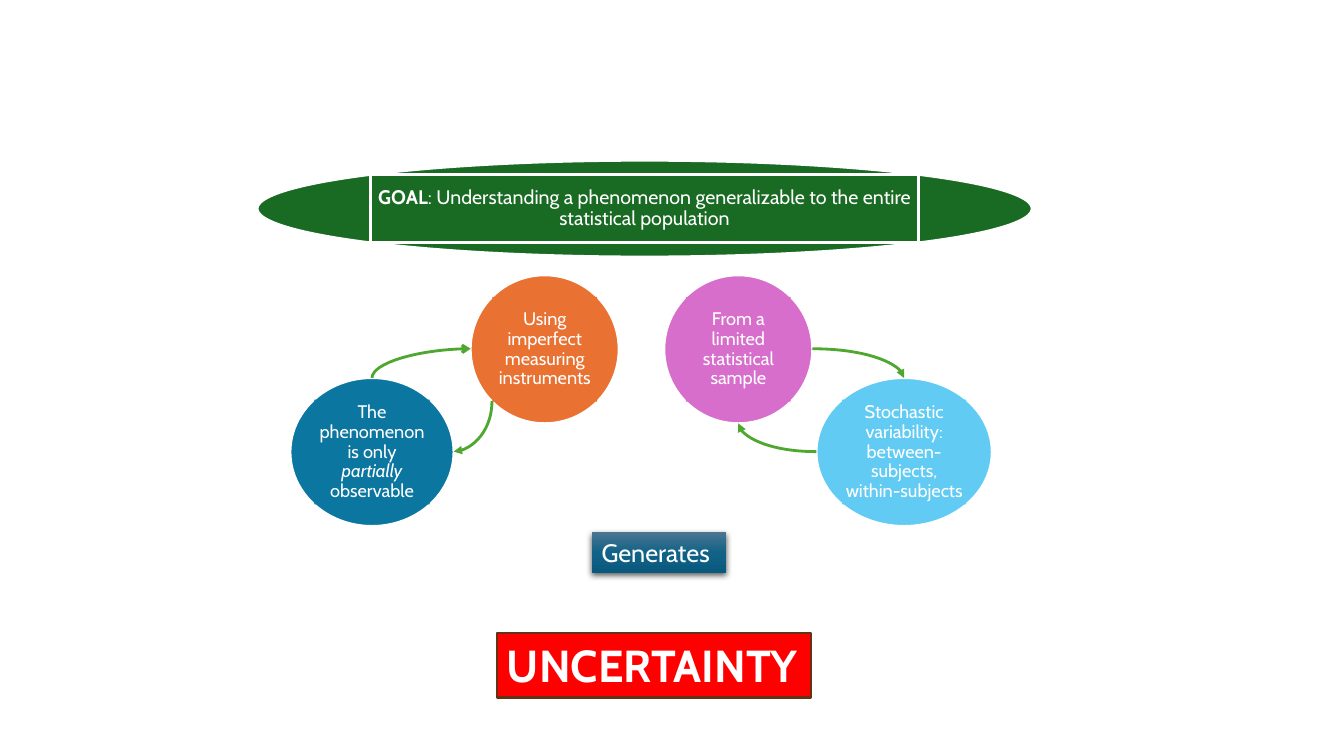
from dataclasses import dataclass
from math import sqrt

from lxml.etree import SubElement
from pptx import Presentation
from pptx.dml.color import RGBColor
from pptx.enum.shapes import MSO_CONNECTOR, MSO_SHAPE
from pptx.enum.text import MSO_ANCHOR, MSO_AUTO_SIZE, PP_ALIGN
from pptx.oxml.ns import qn
from pptx.shapes.autoshape import Shape
from pptx.shapes.connector import Connector
from pptx.slide import Slide
from pptx.util import Pt


@dataclass(frozen=True)
class Theme:
    font: str = "Cabin"
    white: str = "FFFFFF"
    goal: str = "196B24"
    instruments: str = "E97132"
    sample: str = "D86ECC"
    phenomenon: str = "0B76A0"
    variability: str = "61CBF4"
    arrow: str = "4EA72E"
    alert: str = "FF0000"
    alert_border: str = "663216"
    shadow: str = "000000"
    gradient: tuple[str, ...] = ("4C7591", "106287", "09597D")
    node_size: float = 13
    goal_size: float = 14
    link_size: float = 18
    alert_size: float = 32


@dataclass(frozen=True)
class TextRun:
    text: str
    bold: bool = False
    italic: bool = False


@dataclass(frozen=True)
class Box:
    left: float
    top: float
    width: float
    height: float

    def inscribed(self) -> "Box":
        share = 1 / sqrt(2)
        margin = (1 - share) / 2
        return Box(
            self.left + self.width * margin,
            self.top + self.height * margin,
            self.width * share,
            self.height * share,
        )


@dataclass(frozen=True)
class Bubble:
    box: Box
    color: str
    runs: tuple[TextRun, ...]
    size: float
    ellipse_line: float = 1.5
    label_line: float = 0


@dataclass(frozen=True)
class Arrow:
    start: tuple[float, float]
    end: tuple[float, float]
    starts_vertical: bool = False
    head: str = "triangle"


THEME = Theme()

BUBBLES = (
    Bubble(
        Box(183.6, 114.5, 553.7, 69.1),
        THEME.goal,
        (
            TextRun("GOAL", bold=True),
            TextRun(": Understanding a phenomenon generalizable to the entire statistical population"),
        ),
        THEME.goal_size,
        ellipse_line=2,
        label_line=2,
    ),
    Bubble(
        Box(336.2, 196.6, 105.8, 105.8),
        THEME.instruments,
        (TextRun("Using imperfect measuring instruments"),),
        THEME.node_size,
    ),
    Bubble(
        Box(474.5, 196.6, 105.8, 105.8),
        THEME.sample,
        (TextRun("From a limited statistical sample"),),
        THEME.node_size,
    ),
    Bubble(
        Box(207.4, 270, 116.6, 105.8),
        THEME.phenomenon,
        (
            TextRun("The phenomenon is only "),
            TextRun("partially", italic=True),
            TextRun(" observable"),
        ),
        THEME.node_size,
    ),
    Bubble(
        Box(583.2, 270, 125.3, 105.8),
        THEME.variability,
        (TextRun("Stochastic variability: between-subjects, within-subjects"),),
        THEME.node_size,
    ),
)

ARROWS = (
    Arrow((265.7, 270), (336.2, 249.1), starts_vertical=True, head="arrow"),
    Arrow((351.4, 286.6), (324, 322.6), starts_vertical=True),
    Arrow((580.3, 249.1), (645.8, 270)),
    Arrow((583.2, 322.6), (527.4, 302.4)),
)


def add_box(shapes, kind: MSO_SHAPE, box: Box, *, fill: str = "", line: str = "", width: float = 0) -> Shape:
    shape = shapes.add_shape(kind, Pt(box.left), Pt(box.top), Pt(box.width), Pt(box.height))
    shape.shadow.inherit = False
    if fill:
        shape.fill.solid()
        shape.fill.fore_color.rgb = RGBColor.from_string(fill)
    if width:
        shape.line.color.rgb = RGBColor.from_string(line)
        shape.line.width = Pt(width)
    else:
        shape.line.fill.background()
    return shape


def write_text(
    shape: Shape, runs: tuple[TextRun, ...], *, size: float, color: str = THEME.white,
    align: PP_ALIGN = PP_ALIGN.LEFT, anchor: MSO_ANCHOR = MSO_ANCHOR.TOP,
    spacing: float = 1, inset: float | None = None, wrap: bool = False,
) -> None:
    frame = shape.text_frame
    frame.word_wrap = wrap
    frame.auto_size = MSO_AUTO_SIZE.NONE if wrap else MSO_AUTO_SIZE.SHAPE_TO_FIT_TEXT
    frame.vertical_anchor = anchor
    if inset is not None:
        frame.margin_left = frame.margin_right = Pt(inset)
        frame.margin_top = frame.margin_bottom = Pt(inset)
    paragraph = frame.paragraphs[0]
    paragraph.alignment = align
    paragraph.line_spacing = spacing
    for part in runs:
        run = paragraph.add_run()
        run.text = part.text
        run.font.name = THEME.font
        run.font.size = Pt(size)
        run.font.bold = part.bold
        run.font.italic = part.italic
        run.font.color.rgb = RGBColor.from_string(color)


def add_bubble(slide: Slide, bubble: Bubble) -> None:
    shapes = slide.shapes.add_group_shape().shapes
    add_box(shapes, MSO_SHAPE.OVAL, bubble.box, fill=bubble.color, line=THEME.white, width=bubble.ellipse_line)
    label = add_box(
        shapes, MSO_SHAPE.RECTANGLE, bubble.box.inscribed(),
        fill=bubble.color, line=THEME.white, width=bubble.label_line,
    )
    write_text(
        label, bubble.runs, size=bubble.size, align=PP_ALIGN.CENTER,
        anchor=MSO_ANCHOR.MIDDLE, spacing=0.9, inset=1.4, wrap=True,
    )


def add_gradient_and_shadow(shape: Shape) -> None:
    properties = shape.element.spPr
    gradient = SubElement(properties, qn("a:gradFill"))
    stops = SubElement(gradient, qn("a:gsLst"))
    for index, color in enumerate(THEME.gradient):
        stop = SubElement(stops, qn("a:gs"), pos=str(index * 50000))
        SubElement(stop, qn("a:srgbClr"), val=color)
    SubElement(gradient, qn("a:lin"), ang="5400000", scaled="0")
    properties.find(qn("a:prstGeom")).addnext(gradient)
    shadow = SubElement(
        properties.find(qn("a:effectLst")), qn("a:outerShdw"),
        blurRad=str(Pt(4.5)), dist=str(Pt(1.5)), dir="5400000", algn="ctr", rotWithShape="0",
    )
    shadow_color = SubElement(shadow, qn("a:srgbClr"), val=THEME.shadow)
    SubElement(shadow_color, qn("a:alpha"), val="63000")


def add_arrow(slide: Slide, arrow: Arrow) -> Connector:
    (start_x, start_y), (end_x, end_y) = arrow.start, arrow.end
    center_x, center_y = (start_x + end_x) / 2, (start_y + end_y) / 2
    half_x, half_y = (end_x - start_x) / 2, (end_y - start_y) / 2
    if arrow.starts_vertical:
        half_x, half_y = half_y, -half_x
    connector = slide.shapes.add_connector(
        MSO_CONNECTOR.CURVE,
        Pt(center_x - half_x), Pt(center_y - half_y), Pt(center_x + half_x), Pt(center_y + half_y),
    )
    connector.line.color.rgb = RGBColor.from_string(THEME.arrow)
    connector.line.width = Pt(2)
    properties = connector.element.spPr
    properties.find(qn("a:prstGeom")).set("prst", "curvedConnector2")
    if arrow.starts_vertical:
        properties.find(qn("a:xfrm")).set("rot", "5400000")
    SubElement(properties.find(qn("a:ln")), qn("a:tailEnd"), type=arrow.head)
    SubElement(properties, qn("a:effectLst"))
    return connector


def main() -> None:
    presentation = Presentation()
    presentation.slide_width, presentation.slide_height = Pt(960), Pt(540)
    slide = presentation.slides.add_slide(presentation.slide_layouts[6])
    goal, *nodes = BUBBLES
    add_bubble(slide, goal)
    link = add_box(slide.shapes, MSO_SHAPE.RECTANGLE, Box(422.6, 380.2, 96, 29.1))
    add_gradient_and_shadow(link)
    write_text(link, (TextRun("Generates"),), size=THEME.link_size)
    alert = add_box(
        slide.shapes, MSO_SHAPE.RECTANGLE, Box(355, 452.2, 224.6, 46),
        fill=THEME.alert, line=THEME.alert_border, width=1.5,
    )
    write_text(alert, (TextRun("UNCERTAINTY", bold=True),), size=THEME.alert_size)
    for node in nodes:
        add_bubble(slide, node)
    for arrow in ARROWS:
        add_arrow(slide, arrow)
    presentation.save("out.pptx")


if __name__ == "__main__":
    main()
